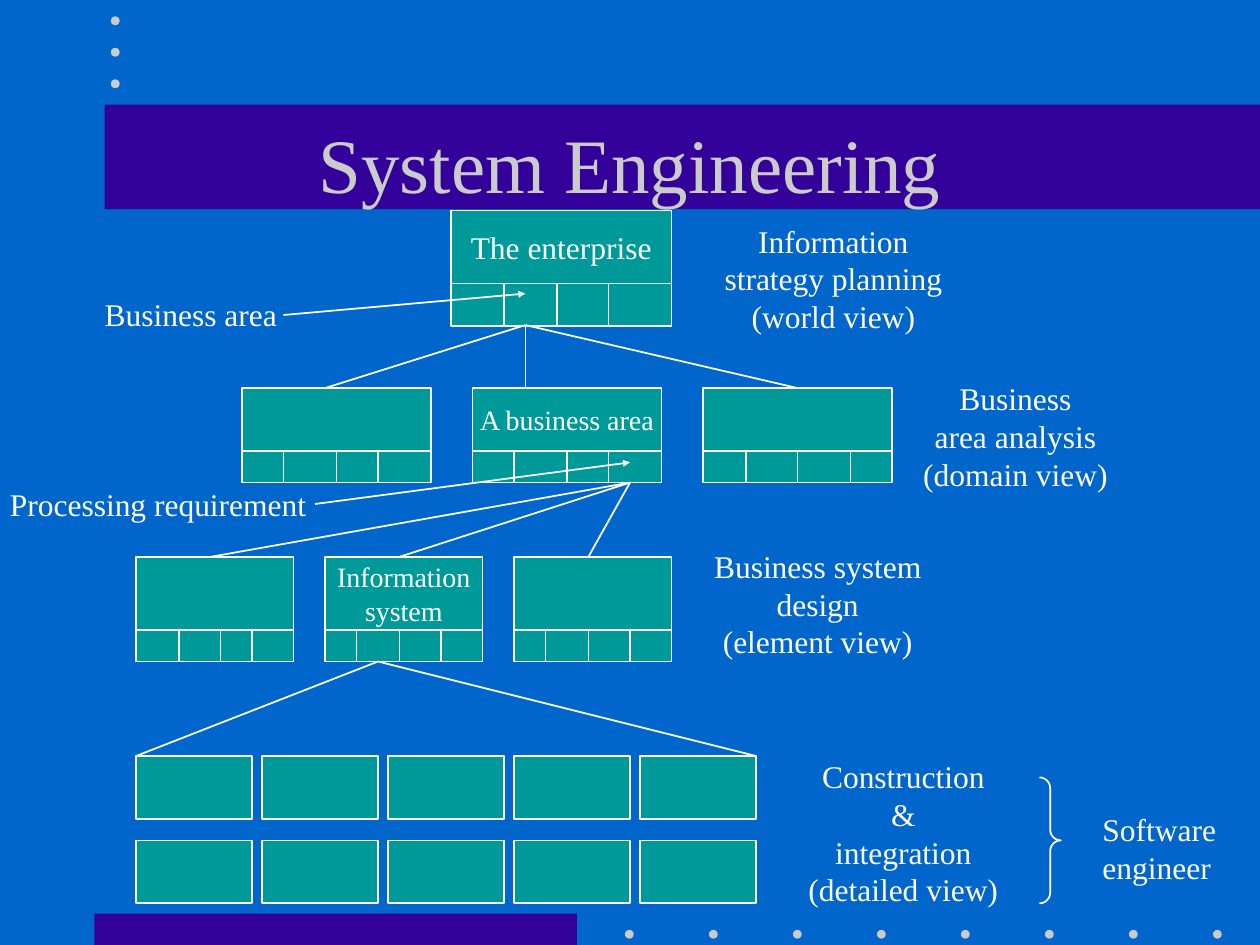
from dataclasses import dataclass

import pptx
import pptx.dml.color
import pptx.enum.shapes
import pptx.enum.text
import pptx.oxml
import pptx.oxml.ns
import pptx.util
from pptx.util import Inches

RGBColor = pptx.dml.color.RGBColor
Shape = pptx.enum.shapes.MSO_SHAPE
Align = pptx.enum.text.PP_ALIGN
Anchor = pptx.enum.text.MSO_ANCHOR

BLUE = RGBColor(0x00, 0x66, 0xCC)
VIOLET = RGBColor(0x33, 0x00, 0x99)
GREY = RGBColor(0xCB, 0xCB, 0xCB)
TEAL = RGBColor(0x00, 0x99, 0x99)
WHITE = RGBColor(0xFF, 0xFF, 0xFF)
FACE = "Times New Roman"


@dataclass
class Block:
    """A box with a strip of cells; cuts are offsets from its left edge."""
    left: float
    top: float
    width: float
    height: float
    strip: float
    cuts: tuple
    text: str = ""
    size: int = 16


@dataclass
class Label:
    left: float
    top: float
    width: float
    height: float
    text: str
    align: Align = Align.CENTER


@dataclass
class Fan:
    """Lines from one point to several others."""
    start: tuple
    ends: tuple


BLOCKS = (
    Block(3.58, 1.67, 1.75, 0.92, 0.34, (0.42, 0.84, 1.25), "The enterprise", 18),
    Block(1.92, 3.08, 1.5, 0.75, 0.25, (0.33, 0.75, 1.08)),
    Block(3.75, 3.08, 1.5, 0.75, 0.25, (0.33, 0.75, 1.08), "A business area"),
    Block(5.58, 3.08, 1.5, 0.75, 0.25, (0.34, 0.75, 1.17)),
    Block(1.08, 4.42, 1.25, 0.83, 0.25, (0.34, 0.67, 0.92)),
    Block(2.58, 4.42, 1.25, 0.83, 0.25, (0.25, 0.59, 0.92), "Information\nsystem"),
    Block(4.08, 4.42, 1.25, 0.83, 0.25, (0.25, 0.59, 0.92)),
)
FANS = (
    Fan((4.17, 2.58), ((2.58, 3.08), (4.17, 3.08), (6.33, 3.08))),
    Fan((5, 3.83), ((1.67, 4.42), (3.17, 4.42), (4.67, 4.42))),
    Fan((3, 5.25), ((1.08, 6), (6, 6))),
)
LABELS = (
    Label(0.73, 2.29, 1.57, 0.4, "Business area"),
    Label(0, 3.8, 2.51, 0.4, "Processing requirement"),
    Label(5.65, 1.71, 1.93, 1, "Information\nstrategy planning\n(world view)"),
    Label(7.23, 2.96, 1.66, 1, "Business\narea analysis\n(domain view)"),
    Label(5.57, 4.29, 1.84, 1, "Business system\ndesign\n(element view)"),
    Label(6.32, 5.96, 1.7, 1.3, "Construction\n&\nintegration\n(detailed view)"),
    Label(8.75, 6.38, 1.1, 0.7, "Software\nengineer", Align.LEFT),
)
ARROWS = (((2.25, 2.5), (4.17, 2.33)), ((2.5, 4), (5, 3.67)))


def assign(item, values: dict) -> None:
    for name, value in values.items():
        setattr(item, name, value)


def write(frame, text: str, size: int, color=WHITE, align=Align.CENTER, **form) -> None:
    frame.text = text
    assign(frame, {"word_wrap": True, "margin_left": 0, "margin_right": 0, **form})
    for par in frame.paragraphs:
        par.alignment = align
        assign(par.font, {"name": FACE, "size": pptx.util.Pt(size)})
        par.font.color.rgb = color


def draw(slide, kind, left: float, top: float, width: float, height: float,
         fill=None, line=None):
    shape = slide.shapes.add_shape(
        kind, Inches(left), Inches(top), Inches(width), Inches(height))
    shape.shadow.inherit = False
    if fill is None:
        shape.fill.background()
    else:
        shape.fill.solid()
        shape.fill.fore_color.rgb = fill
    if line is None:
        shape.line.fill.background()
    else:
        shape.line.color.rgb = line
        shape.line.width = pptx.util.Pt(1)
    return shape


def join(slide, start: tuple, end: tuple, arrow: bool = False) -> None:
    line = slide.shapes.add_connector(
        pptx.enum.shapes.MSO_CONNECTOR.STRAIGHT, *map(Inches, start + end))
    line.line.color.rgb = WHITE
    line.line.width = pptx.util.Pt(1)
    space = pptx.oxml.ns.nsdecls("a")
    props = line._element.spPr
    if arrow:
        tip = f'<a:tailEnd {space} type="triangle" w="sm" len="sm"/>'
        props.find(pptx.oxml.ns.qn("a:ln")).append(pptx.oxml.parse_xml(tip))
    props.append(pptx.oxml.parse_xml(f"<a:effectLst {space}/>"))


def stack(slide, block: Block) -> None:
    """Draw a block, its text above the strip, and the strip's lines."""
    shape = draw(slide, Shape.RECTANGLE, block.left, block.top,
                 block.width, block.height, TEAL, WHITE)
    if block.text:
        write(shape.text_frame, block.text, block.size,
              vertical_anchor=Anchor.MIDDLE, margin_top=0,
              margin_bottom=Inches(block.strip))
    base = block.top + block.height
    edge = base - block.strip
    join(slide, (block.left, edge), (block.left + block.width, edge))
    for cut in block.cuts:
        join(slide, (block.left + cut, edge), (block.left + cut, base))


def adorn(slide) -> None:
    """Draw the bands and dots behind the content."""
    draw(slide, Shape.RECTANGLE, 0.75, 7.25, 3.83, 0.25, VIOLET)
    draw(slide, Shape.RECTANGLE, 0.83, 0.83, 9.17, 0.83, VIOLET)
    dots = [(4.96 + col * 2 / 3, 7.38) for col in range(8)]
    dots += [(0.88, 0.13 + row * 0.25) for row in range(3)]
    for left, top in dots:
        draw(slide, Shape.OVAL, left, top, 0.07, 0.07, GREY)


def head(slide, text: str) -> None:
    """Place the title in front of the bands."""
    title = slide.shapes.title
    slide.shapes._spTree.append(title._element)
    assign(title, {"left": Inches(0.75), "top": Inches(0.67),
                   "width": Inches(8.5), "height": Inches(1.25)})
    write(title.text_frame, text, 44, GREY, vertical_anchor=Anchor.MIDDLE,
          auto_size=pptx.enum.text.MSO_AUTO_SIZE.NONE)


def main() -> None:
    deck = pptx.Presentation()
    assign(deck, {"slide_width": Inches(10), "slide_height": Inches(7.5)})
    slide = deck.slides.add_slide(deck.slide_layouts.get_by_name("Title Only"))
    slide.background.fill.solid()
    slide.background.fill.fore_color.rgb = BLUE
    adorn(slide)
    head(slide, "System Engineering")

    for block in BLOCKS:
        stack(slide, block)
    for top in (6, 6.67):
        for col in range(5):
            draw(slide, Shape.RECTANGLE, 1.08 + col, top, 0.92, 0.5, TEAL, WHITE)
    for fan in FANS:
        for end in fan.ends:
            join(slide, fan.start, end)
    for start, end in ARROWS:
        join(slide, start, end, arrow=True)
    for label in LABELS:
        box = slide.shapes.add_textbox(Inches(label.left), Inches(label.top),
                                       Inches(label.width), Inches(label.height))
        write(box.text_frame, label.text, 18, align=label.align)
    brace = draw(slide, Shape.RIGHT_BRACE, 8.25, 6.17, 0.17, 1, line=WHITE)
    brace.adjustments[0] = 0.5
    deck.save("out.pptx")


if __name__ == "__main__":
    main()
